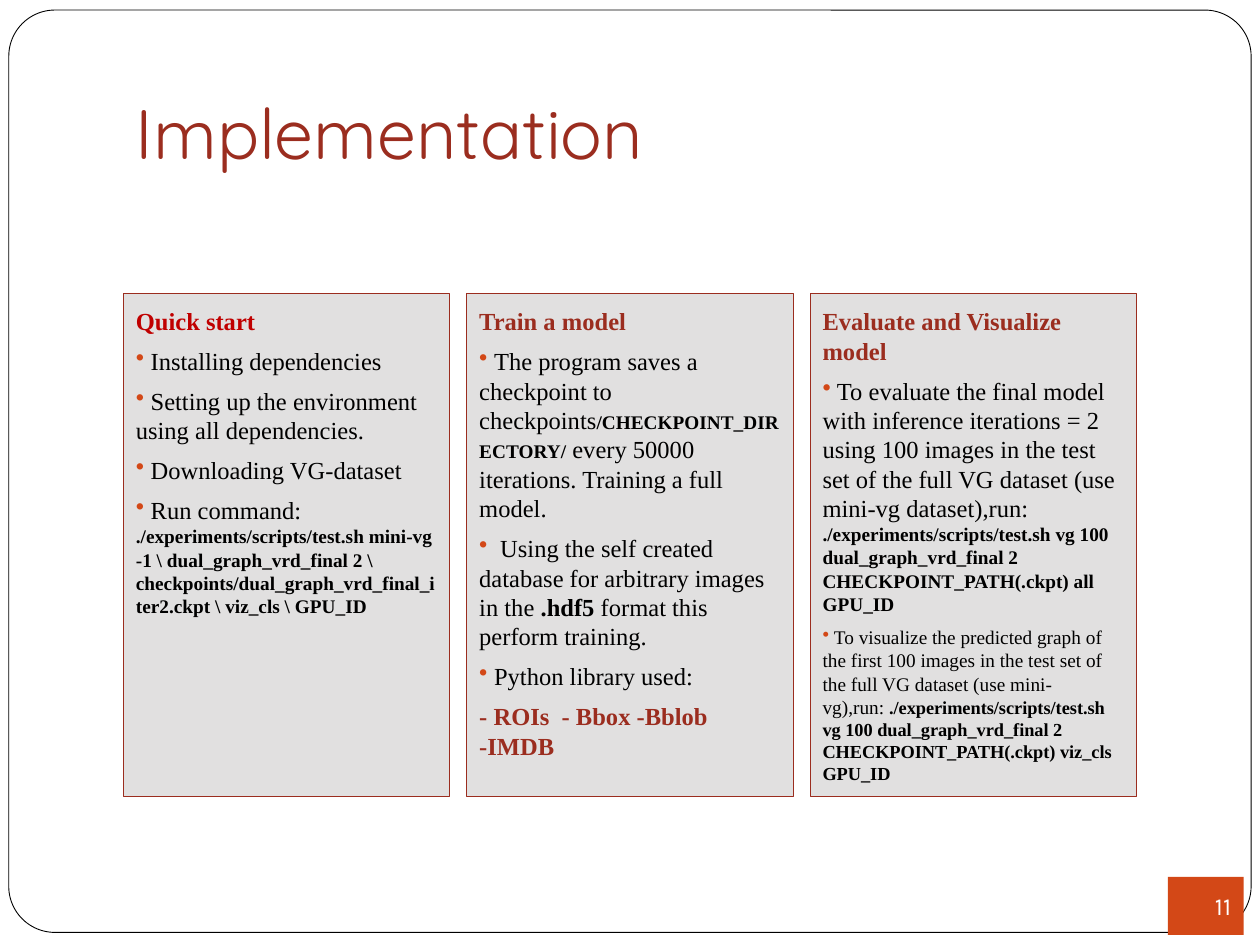
from pptx import Presentation
from pptx.dml.color import RGBColor as RGB
from pptx.enum.shapes import MSO_SHAPE as SHAPE
from pptx.enum.text import MSO_ANCHOR as ANCHOR, PP_ALIGN as ALIGN
from pptx.oxml.ns import qn
from pptx.util import Inches, Pt
from lxml import etree

HEX = {"white": "FFFFFF", "black": "000000", "brick": "9B2D1F",
       "red": "C00000", "orange": "D34817", "grey": "E1E0E0"}
COLOR = {name: RGB.from_string(code) for name, code in HEX.items()}
SERIF = "Times New Roman"

# Run styles: size, bold, colour
STYLES = {"red head": (14, True, "red"), "head": (14, True, "brick"),
          "body": (14, False, "black"), "bold": (14, True, "black"),
          "code": (11, True, "black"), "note": (11, False, "black"),
          "fine": (10.5, True, "black")}

# Each card is a list of paragraphs: bullet flag, then (text, style) runs
CARDS = [
    [
        (False, [("Quick start", "red head")]),
        (True, [(" Installing dependencies", "body")]),
        (True, [(" Setting up the environment using all dependencies.", "body")]),
        (True, [(" Downloading VG-dataset", "body")]),
        (True, [(" Run command: ", "body"),
                ("./experiments/scripts/test.sh mini-vg -1 \\ dual_graph_vrd_final 2 \\ "
                 "checkpoints/dual_graph_vrd_final_iter2.ckpt \\ viz_cls \\ GPU_ID", "code")]),
    ],
    [
        (False, [("Train a model", "head")]),
        (True, [(" ", "head"),
                ("The program saves a checkpoint to checkpoints", "body"),
                ("/CHECKPOINT_DIRECTORY/", "code"),
                (" every 50000 iterations. Training a full model.", "body")]),
        (True, [("  ", "head"),
                ("Using the self created database for arbitrary images in the ", "body"),
                (".hdf5", "bold"), (" format this perform training.", "body")]),
        (True, [(" ", "head"), ("Python library used:", "body")]),
        (False, [("- ROIs  - Bbox -Bblob -IMDB", "head")]),
    ],
    [
        (False, [("Evaluate and Visualize model", "head")]),
        (True, [(" To evaluate the final model with inference iterations = 2 using 100 images "
                 "in the test set of the full VG dataset (use mini-vg dataset),run: ", "body"),
                ("./experiments/scripts/test.sh vg 100 dual_graph_vrd_final 2 "
                 "CHECKPOINT_PATH(.ckpt) all GPU_ID", "code")]),
        (True, [(" To visualize the predicted graph of the first 100 images in the test set "
                 "of the full VG dataset (use mini-vg),run: ", "note"),
                ("./experiments/scripts/test.sh vg 100 dual_graph_vrd_final 2 "
                 "CHECKPOINT_PATH(.ckpt) viz_cls GPU_ID", "fine")]),
    ],
]


def add_box(kind, left, top, width, height, fill, line=None, weight=0):
    box = slide.shapes.add_shape(kind, Inches(left), Inches(top), Inches(width), Inches(height))
    box.shadow.inherit = False
    box.fill.solid()
    box.fill.fore_color.rgb = COLOR[fill]
    if line:
        box.line.color.rgb = COLOR[line]
        box.line.width = Pt(weight)
    else:
        box.line.fill.background()
    return box


def set_font(run, name, size, bold, color):
    run.font.name = name
    run.font.size = Pt(size)
    run.font.bold = bold
    run.font.color.rgb = COLOR[color]


deck = Presentation()
deck.slide_width, deck.slide_height = Inches(10), Inches(7.5)
slide = deck.slides.add_slide(deck.slide_layouts[6])

# Rounded frame
frame = add_box(SHAPE.ROUNDED_RECTANGLE, 0.07, 0.08, 9.86, 7.32, "white", "black", 0.5)
frame.adjustments[0] = 0.05

# Title
title = slide.shapes.add_textbox(Inches(0.98), Inches(0.63), Inches(7.07), Inches(0.85))
text = title.text_frame
text.word_wrap = True
text.vertical_anchor = ANCHOR.BOTTOM
text.margin_top = text.margin_bottom = Inches(0.1)
text.text = "Implementation"
set_font(text.paragraphs[0].runs[0], "Quicksand", 40, False, "brick")

# Three cards
for col, card in enumerate(CARDS):
    box = add_box(SHAPE.RECTANGLE, 0.98 + col * 2.725, 2.33, 2.59, 3.99, "grey", "brick", 0.75)
    text = box.text_frame
    text.word_wrap = True
    text.vertical_anchor = ANCHOR.TOP
    text.margin_left = text.margin_right = Inches(0.1)
    text.margin_top = text.margin_bottom = Inches(0.1)
    for row, (bullet, runs) in enumerate(card):
        para = text.paragraphs[0] if row == 0 else text.add_paragraph()
        para.alignment = ALIGN.LEFT
        para.space_before = Pt(6)
        if bullet:
            props = para._p.get_or_add_pPr()
            tint = etree.SubElement(props, qn("a:buClr"))
            etree.SubElement(tint, qn("a:srgbClr"), val=HEX["orange"])
            etree.SubElement(props, qn("a:buChar"), char="•")
        for words, style in runs:
            run = para.add_run()
            run.text = words
            set_font(run, SERIF, *STYLES[style])

# Page number
badge = add_box(SHAPE.RECTANGLE, 9.27, 6.96, 0.6, 0.46, "orange")
text = badge.text_frame
text.vertical_anchor = ANCHOR.MIDDLE
text.text = "11"
text.paragraphs[0].alignment = ALIGN.RIGHT
set_font(text.paragraphs[0].runs[0], "Karla", 14, False, "white")

deck.save("out.pptx")
